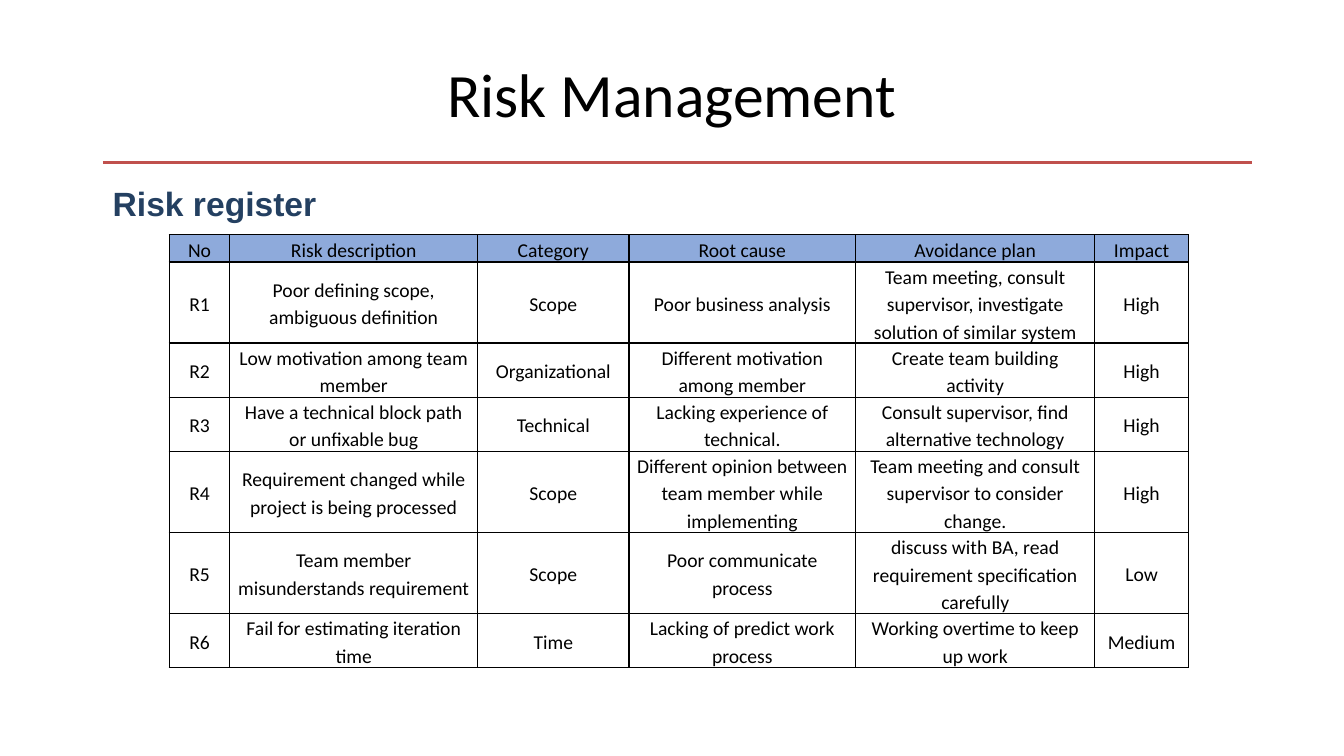
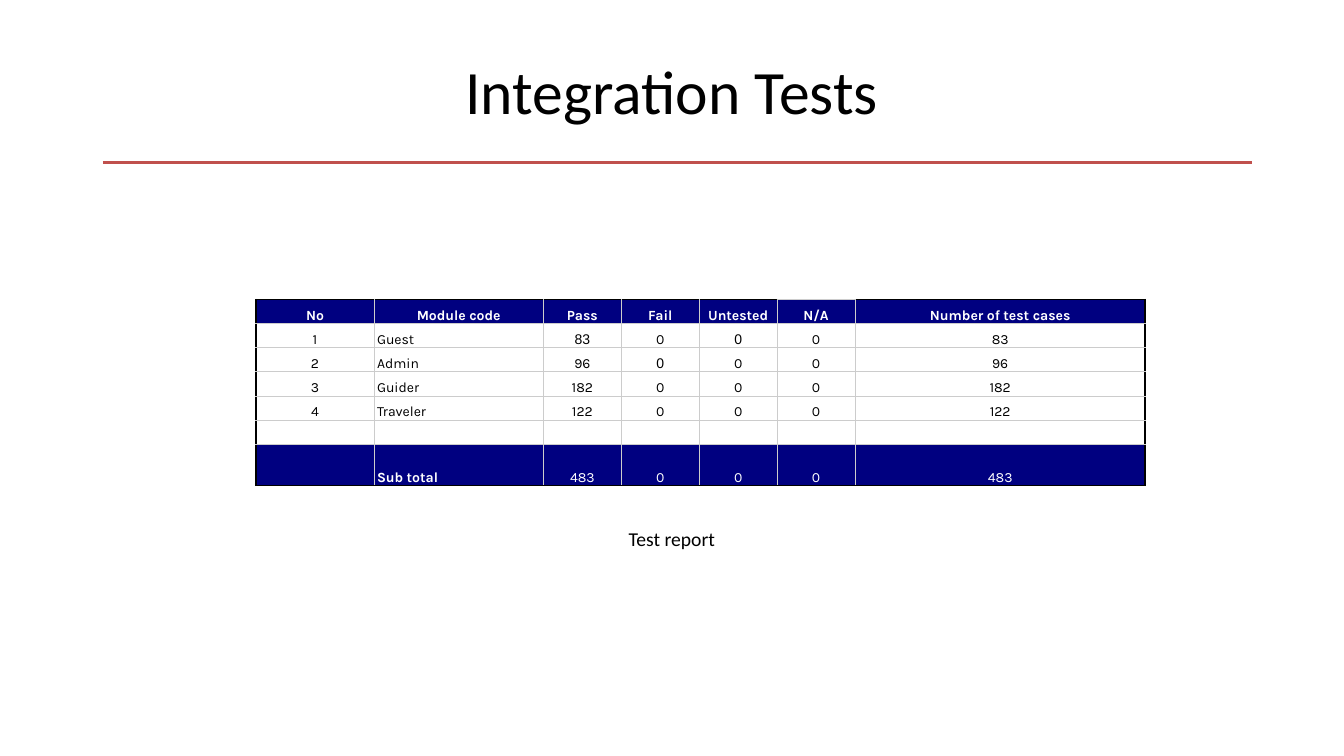
from dataclasses import dataclass
from typing import Callable

from lxml.etree import SubElement
from pptx import Presentation
from pptx.dml.color import RGBColor
from pptx.enum.shapes import MSO_CONNECTOR
from pptx.enum.text import MSO_ANCHOR, PP_ALIGN
from pptx.oxml.ns import qn
from pptx.presentation import Presentation as Deck
from pptx.slide import Slide
from pptx.table import _Cell as Cell
from pptx.text.text import _Paragraph as Paragraph
from pptx.util import Inches, Pt

COLOURS = {
    "ink": "000000",
    "paper": "FFFFFF",
    "accent": "C0504D",
    "heading": "244061",
    "risk_header": "8EAADB",
    "navy": "000080",
    "grid": "CCCCCC",
}
WIDTH, HEIGHT = Inches(13.33), Inches(7.5)
RULE_LEFT, RULE_RIGHT, RULE_TOP = 7.65, 93.15, 21.47


@dataclass(frozen=True)
class Lettering:
    font: str
    size: float
    colour: str = "ink"
    bold: bool = False
    align: PP_ALIGN = PP_ALIGN.CENTER
    line_spacing: float = 1.0


@dataclass(frozen=True)
class Area:
    left: float
    top: float
    width: float
    height: float


@dataclass(frozen=True)
class Border:
    colour: str
    points: float


@dataclass(frozen=True)
class CellLook:
    lettering: Lettering
    fill: str
    borders: dict[str, Border]


@dataclass(frozen=True)
class Grid:
    left: float
    top: float
    columns: list[float]
    row_heights: list[float]
    entries: list[list[str]]
    anchor: MSO_ANCHOR
    side_margin: float
    look: Callable[[int, int], CellLook]


TITLE = Lettering("Calibri", 44)
HEADING = Lettering("Arial", 24, "heading", True, PP_ALIGN.LEFT)
CAPTION = Lettering("Calibri", 14)
RISK_TEXT = Lettering("Calibri", 14, line_spacing=1.15)

RISKS = [
    ["No", "Risk description", "Category", "Root cause", "Avoidance plan", "Impact"],
    ["R1", "Poor defining scope, ambiguous definition", "Scope", "Poor business analysis",
     "Team meeting, consult supervisor, investigate solution of similar system", "High"],
    ["R2", "Low motivation among team member", "Organizational",
     "Different motivation among member", "Create team building activity", "High"],
    ["R3", "Have a technical block path or unfixable bug", "Technical",
     "Lacking experience of technical.",
     "Consult supervisor, find alternative technology", "High"],
    ["R4", "Requirement changed while project is being processed", "Scope",
     "Different opinion between team member while implementing",
     "Team meeting and consult supervisor to consider change.", "High"],
    ["R5", "Team member misunderstands requirement", "Scope", "Poor communicate process",
     "discuss with BA, read requirement specification carefully", "Low"],
    ["R6", "Fail for estimating iteration time", "Time", "Lacking of predict work process",
     "Working overtime to keep up work", "Medium"],
]
RISK_LINES = [1, 3, 2, 2, 3, 3, 2]
RISK_LINE_HEIGHT = 3.42

TEST_HEADER = ["No", "Module code", "Pass", "Fail", "Untested", "N/A", "Number of test cases"]
PASSED = {"Guest": 83, "Admin": 96, "Guider": 182, "Traveler": 122}


def result_row(number: str, label: str, passed: int) -> list[str]:
    return [number, label, str(passed), "0", "0", "0", str(passed)]


TESTS = [
    TEST_HEADER,
    *[result_row(str(number), module, passed)
      for number, (module, passed) in enumerate(PASSED.items(), 1)],
    [""] * len(TEST_HEADER),
    result_row("", "Sub total", sum(PASSED.values())),
]
LAST_ROW, LAST_COLUMN = len(TESTS) - 1, len(TEST_HEADER) - 1
MODULE_COLUMN = TEST_HEADER.index("Module code")
NOT_APPLICABLE_COLUMN = TEST_HEADER.index("N/A")
ARIAL_RESULTS = {(1, 2), (1, 4), (2, 3)}


def across(percent: float) -> int:
    return round(WIDTH * percent / 100)


def down(percent: float) -> int:
    return round(HEIGHT * percent / 100)


def rgb(name: str) -> RGBColor:
    return RGBColor.from_string(COLOURS[name])


def write(paragraph: Paragraph, words: str, lettering: Lettering) -> None:
    paragraph.alignment = lettering.align
    paragraph.line_spacing = lettering.line_spacing
    if not words:
        SubElement(paragraph._p, qn("a:endParaRPr"), sz=str(round(lettering.size * 100)))
        return
    run = paragraph.add_run()
    run.text = words
    run.font.name = lettering.font
    run.font.size = Pt(lettering.size)
    run.font.bold = lettering.bold
    run.font.color.rgb = rgb(lettering.colour)


def add_words(slide: Slide, words: str, area: Area, lettering: Lettering,
              anchor: MSO_ANCHOR = MSO_ANCHOR.TOP) -> None:
    frame = slide.shapes.add_textbox(across(area.left), down(area.top),
                                     across(area.width), down(area.height)).text_frame
    frame.word_wrap = True
    frame.vertical_anchor = anchor
    write(frame.paragraphs[0], words, lettering)


def add_titled_slide(deck: Deck, title: str, title_top: float) -> Slide:
    slide = deck.slides.add_slide(deck.slide_layouts[6])
    add_words(slide, title, Area(5, title_top, 90, 16.67), TITLE, MSO_ANCHOR.MIDDLE)
    rule = slide.shapes.add_connector(MSO_CONNECTOR.STRAIGHT, across(RULE_LEFT), down(RULE_TOP),
                                      across(RULE_RIGHT), down(RULE_TOP))
    rule.line.color.rgb = rgb("accent")
    rule.line.width = Pt(2)
    SubElement(rule._element.spPr, qn("a:effectLst"))
    return slide


def draw_borders(cell: Cell, borders: dict[str, Border]) -> None:
    properties = cell._tc.get_or_add_tcPr()
    for side in "LRTB":
        border = borders[side]
        edge = SubElement(properties, qn(f"a:ln{side}"), w=str(Pt(border.points)))
        paint = SubElement(edge, qn("a:solidFill"))
        SubElement(paint, qn("a:srgbClr"), val=COLOURS[border.colour])


def add_grid(slide: Slide, grid: Grid) -> None:
    table = slide.shapes.add_table(
        len(grid.row_heights), len(grid.columns), across(grid.left), down(grid.top),
        across(sum(grid.columns)), down(sum(grid.row_heights))).table
    table.first_row = table.horz_banding = False
    for column, width in zip(table.columns, grid.columns):
        column.width = across(width)
    for row, height in zip(table.rows, grid.row_heights):
        row.height = down(height)
    for row_index, entries in enumerate(grid.entries):
        for column_index, words in enumerate(entries):
            cell = table.cell(row_index, column_index)
            look = grid.look(row_index, column_index)
            cell.margin_left = cell.margin_right = Inches(grid.side_margin)
            cell.margin_top = cell.margin_bottom = 0
            cell.vertical_anchor = grid.anchor
            draw_borders(cell, look.borders)
            cell.fill.solid()
            cell.fill.fore_color.rgb = rgb(look.fill)
            write(cell.text_frame.paragraphs[0], words, look.lettering)


def risk_look(row: int, column: int) -> CellLook:
    fill = "risk_header" if row == 0 else "paper"
    return CellLook(RISK_TEXT, fill, dict.fromkeys("LRTB", Border("ink", 1)))


def test_look(row: int, column: int) -> CellLook:
    navy = row in (0, LAST_ROW)
    label = column == MODULE_COLUMN
    lettering = Lettering(
        font="Arial" if (row, column) in ARIAL_RESULTS else "Karla",
        size=10,
        colour="paper" if navy else "ink",
        bold=row == 0 or (navy and label),
        align=PP_ALIGN.LEFT if label and row else PP_ALIGN.CENTER,
    )
    borders = dict.fromkeys("LRTB", Border("grid", 0.75))
    if column == 0:
        borders["L"] = Border("ink", 1.5)
    if column == LAST_COLUMN:
        borders["R"] = Border("ink", 1.5)
    if row == 0 and column != NOT_APPLICABLE_COLUMN:
        borders["T"] = Border("ink", 0.75)
    if row == LAST_ROW:
        borders["B"] = Border("ink", 0.75)
    return CellLook(lettering, "navy" if navy else "paper", borders)


def add_risk_slide(deck: Deck) -> None:
    slide = add_titled_slide(deck, "Risk Management", 4)
    add_words(slide, "Risk register", Area(RULE_LEFT, 23.6, 22.43, 6.67), HEADING)
    add_grid(slide, Grid(
        left=12.6, top=31.07,
        columns=[4.5, 18.45, 11.25, 16.88, 17.78, 6.98],
        row_heights=[lines * RISK_LINE_HEIGHT for lines in RISK_LINES],
        entries=RISKS, anchor=MSO_ANCHOR.MIDDLE, side_margin=0.07, look=risk_look))


def add_test_slide(deck: Deck) -> None:
    slide = add_titled_slide(deck, "Integration Tests", 3.6)
    add_grid(slide, Grid(
        left=19.05, top=39.6,
        columns=[8.78, 12.6, *[5.8] * 4, 21.6],
        row_heights=[*[3.2] * LAST_ROW, 5.47],
        entries=TESTS, anchor=MSO_ANCHOR.BOTTOM, side_margin=0.03, look=test_look))
    add_words(slide, "Test report", Area(41.85, 69.07, 16.28, 9.33), CAPTION)


def main() -> None:
    deck = Presentation()
    deck.slide_width, deck.slide_height = WIDTH, HEIGHT
    add_risk_slide(deck)
    add_test_slide(deck)
    deck.save("out.pptx")


if __name__ == "__main__":
    main()
